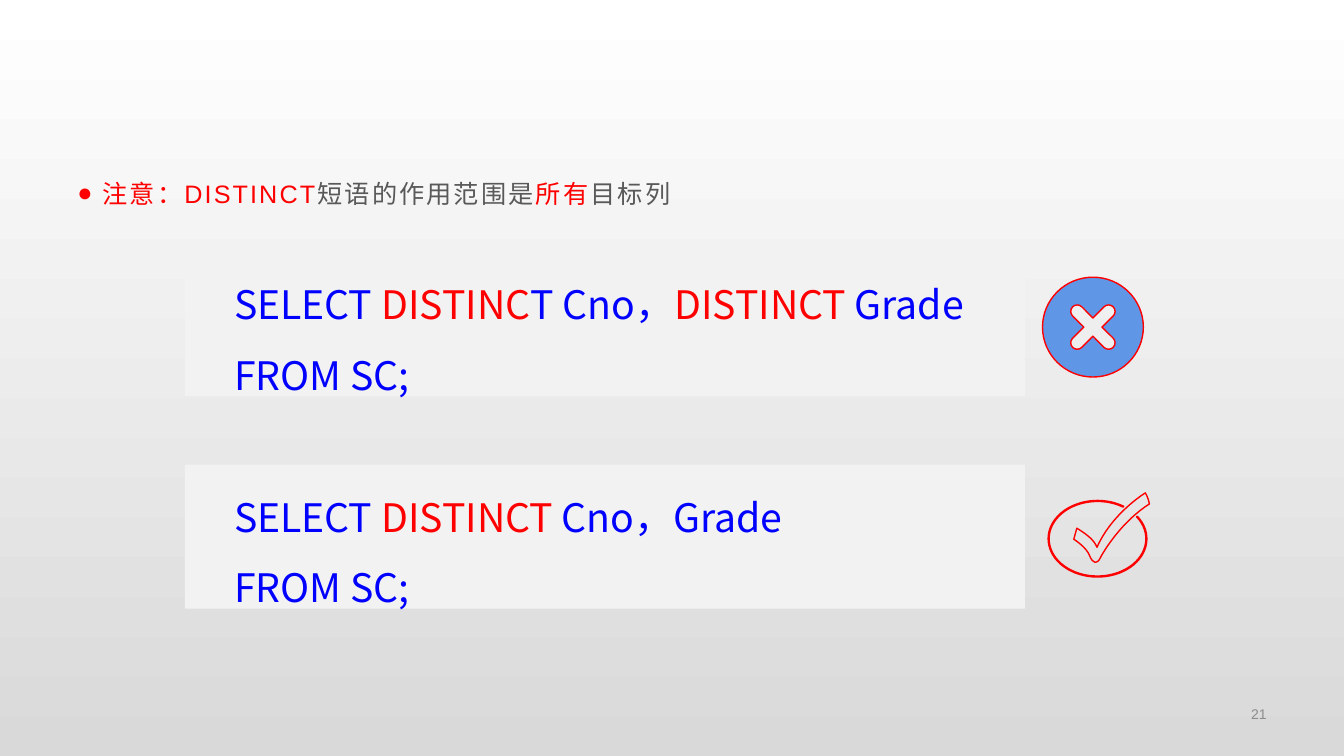
from math import cos, radians, sin, tan

from lxml import etree
from pptx import Presentation
from pptx import util as u
from pptx.dml.color import RGBColor
from pptx.enum import shapes, text
from pptx.oxml import ns

RED = RGBColor(0xFF, 0x00, 0x00)
BLUE = RGBColor(0x00, 0x00, 0xFF)
DARK_GRAY = RGBColor(0x59, 0x59, 0x59)
PAGE_GRAY = RGBColor(0x8C, 0x8C, 0x8C)
PANEL_GRAY = RGBColor(0xF2, 0xF2, 0xF2)
BADGE_BLUE = RGBColor(0x60, 0x96, 0xE6)
WHITE = RGBColor(0xFF, 0xFF, 0xFF)
SHADE = RGBColor(0xD9, 0xD9, 0xD9)
CJK = "Noto Sans CJK SC"

deck = Presentation()
deck.slide_width, deck.slide_height = u.Inches(13.33), u.Inches(7.5)
WIDTH, HEIGHT = deck.slide_width, deck.slide_height
page = deck.slides.add_slide(deck.slide_layouts[1])
page.shapes.title.element.getparent().remove(page.shapes.title.element)

backdrop = page.background.fill
backdrop.gradient()
backdrop.gradient_angle = 270
for stop, color in zip(backdrop.gradient_stops, (WHITE, SHADE)):
    stop.color.rgb = color


def write(para, spans, size, font, spacing=0):
    for words, color in spans:
        span = para.add_run()
        span.text = words
        for name, value in {"size": u.Pt(size), "name": font}.items():
            setattr(span.font, name, value)
        span.font.color.rgb = color
        properties = span.font._element
        if spacing:
            properties.set("spc", str(spacing))
        etree.SubElement(properties, ns.qn("a:ea")).set("typeface", CJK)


def arc(center, radii, start, end, pieces):
    turn = radians(end - start) / pieces
    reach = 4 / 3 * tan(turn / 4)
    segments = []
    for piece in range(pieces):
        a = radians(start) + turn * piece
        b = a + turn
        circle = [(cos(a), sin(a)), (cos(a) - reach * sin(a), sin(a) + reach * cos(a)),
                  (cos(b) + reach * sin(b), sin(b) - reach * cos(b)), (cos(b), sin(b))]
        points = [(center[0] + radii[0] * x, center[1] + radii[1] * y) for x, y in circle]
        segments += [points[1:]] if segments else [points[:1], points[1:]]
    return segments


note = page.placeholders[1]
note_place = {"left": 0.05 * WIDTH, "top": 0.217 * HEIGHT, "width": 0.9 * WIDTH, "height": 0.693 * HEIGHT}
for name, value in note_place.items():
    setattr(note, name, int(value))
para = note.text_frame.paragraphs[0]
layout = para._p.get_or_add_pPr()
layout.set("marL", str(u.Inches(0.25)))
layout.set("indent", str(-u.Inches(0.25)))
etree.SubElement(layout, ns.qn("a:buFont")).set("typeface", "Arial")
etree.SubElement(layout, ns.qn("a:buChar")).set("char", "●")
for name, value in {"line_spacing": 1.3, "space_before": u.Pt(0), "space_after": u.Pt(10)}.items():
    setattr(para, name, value)
write(para, [("注意：DISTINCT", RED), ("短语的作用范围是", DARK_GRAY), ("所有", RED),
             ("目标列", DARK_GRAY)], 18, "Arial", 150)

number = page.shapes.add_textbox(u.Inches(9.71), u.Inches(6.91), u.Inches(2.95), u.Inches(0.35))
number.text_frame.word_wrap = True
number.text_frame.vertical_anchor = text.MSO_ANCHOR.MIDDLE
para = number.text_frame.paragraphs[0]
para.alignment = text.PP_ALIGN.RIGHT
write(para, [("21", PAGE_GRAY)], 10, "Arial")

queries = [
    [("SELECT ", BLUE), ("DISTINC", RED), ("T Cno，", BLUE), ("DISTINCT", RED), (" Grade", BLUE)],
    [("SELECT ", BLUE), ("DISTINCT", RED), (" Cno，Grade", BLUE)],
]
for row, query in enumerate(queries):
    box = page.shapes.add_shape(
        shapes.MSO_SHAPE.RECTANGLE, int(0.1375 * WIDTH), u.Inches(2.5 + 2.11 * row),
        int(0.625 * WIDTH), u.Inches(1.43))
    box.shadow.inherit = False
    box.fill.solid()
    box.fill.fore_color.rgb = PANEL_GRAY
    box.line.fill.background()
    frame = box.text_frame
    frame_format = {"word_wrap": True, "vertical_anchor": text.MSO_ANCHOR.TOP,
                    "auto_size": text.MSO_AUTO_SIZE.SHAPE_TO_FIT_TEXT}
    for name, value in frame_format.items():
        setattr(frame, name, value)
    for line, spans in enumerate((query, [("FROM SC;", BLUE)])):
        para = frame.add_paragraph() if line else frame.paragraphs[0]
        for name, value in {"level": 1, "alignment": text.PP_ALIGN.LEFT, "line_spacing": 1.5}.items():
            setattr(para, name, value)
        para._p.get_or_add_pPr().set("marL", str(u.Inches(0.39)))
        para._p.get_or_add_pPr().set("indent", "0")
        write(para, spans, 28, CJK)

tick = [
    [(10.68, 5.24)],
    [(10.65, 5.35)],
    [(10.65, 5.35), (10.78, 5.43), (10.81, 5.52)],
    [(10.84, 5.59), (10.88, 5.6), (10.91, 5.54)],
    [(10.95, 5.46), (11.13, 5.17), (11.4, 5)],
    [(11.39, 4.94), (11.36, 4.89), (11.36, 4.89)],
    [(11.36, 4.89), (11.03, 5.09), (10.88, 5.43)],
    [(10.85, 5.35), (10.76, 5.29), (10.68, 5.24)],
]
ring_center = (10.885, 5.345)
ring = arc(ring_center, (0.49, 0.38), -36, 302, 4) + arc(ring_center, (0.48, 0.37), 302, -36, 4)

badge_center = (10.84, 3.245)
disc = arc(badge_center, (0.5, 0.495), 0, 360, 4)
cross = []
for turn in (0, -90, -180, -270):
    notch, tip = [
        (badge_center[0] + reach * cos(radians(angle)), badge_center[1] + reach * sin(radians(angle)))
        for reach, angle in ((0.09, turn), (0.22, turn - 45))]
    cross += [[notch]] + arc(tip, (0.064, 0.064), turn + 45, turn - 135, 2)

marks = [
    ((10.39, 4.89, 11.4, 5.73), [tick, ring], None),
    ((10.34, 2.75, 11.34, 3.74), [cross, disc], BADGE_BLUE),
]
for (left, top, right, bottom), outlines, color in marks:
    builder = page.shapes.build_freeform(1000 * left, 1000 * top, scale=914.4)
    builder.add_line_segments([(1000 * right, 1000 * top), (1000 * right, 1000 * bottom),
                               (1000 * left, 1000 * bottom)])
    mark = builder.convert_to_shape()
    contour = mark._element.find(".//" + ns.qn("a:path"))
    for command in list(contour):
        contour.remove(command)
    for outline in outlines:
        for index, segment in enumerate(outline):
            tag = "a:cubicBezTo" if len(segment) == 3 else "a:lnTo" if index else "a:moveTo"
            command = etree.SubElement(contour, ns.qn(tag))
            for x, y in segment:
                point = etree.SubElement(command, ns.qn("a:pt"))
                point.set("x", str(round(1000 * (x - left))))
                point.set("y", str(round(1000 * (y - top))))
        etree.SubElement(contour, ns.qn("a:close"))
    mark.shadow.inherit = False
    if color:
        mark.fill.solid()
        mark.fill.fore_color.rgb = color
    else:
        mark.fill.background()
    mark.line.color.rgb = RED
    mark.line.width = u.Pt(1)

deck.save("out.pptx")
